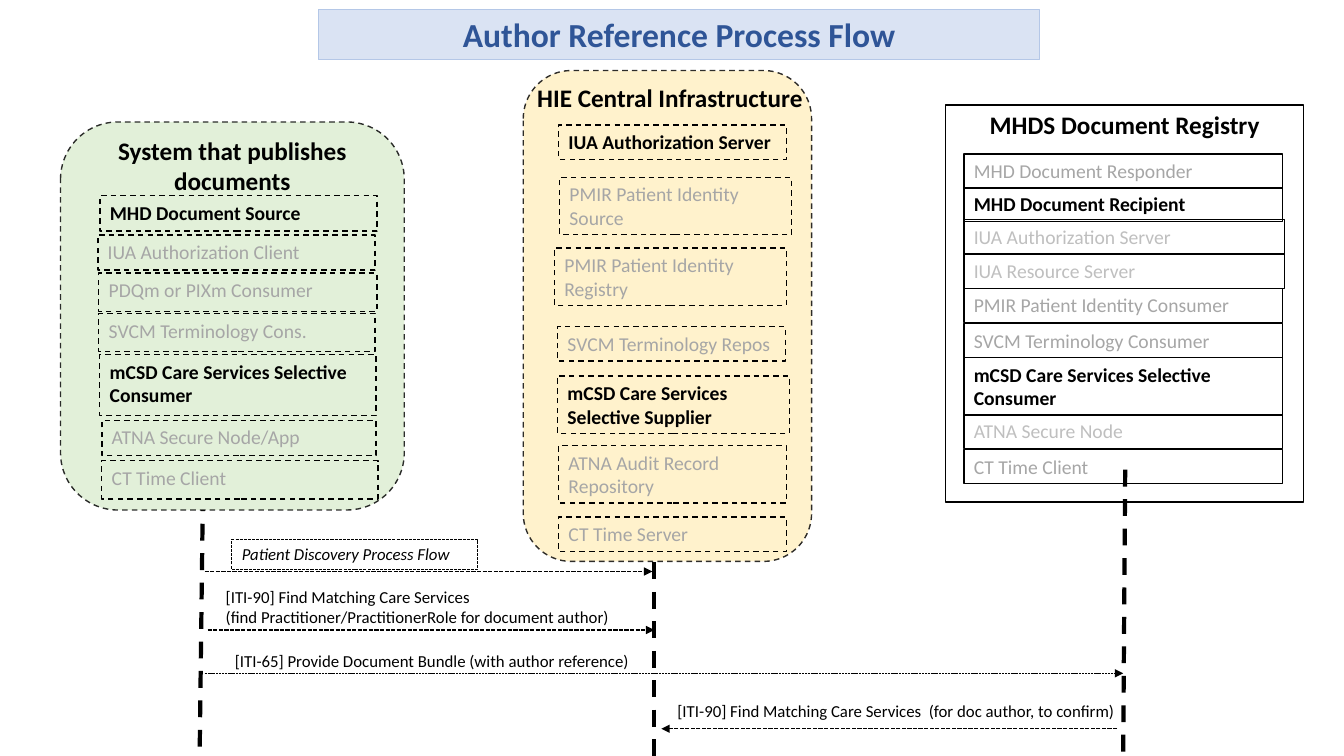
from lxml.etree import SubElement
from pptx import Presentation
from pptx.dml.color import RGBColor
from pptx.enum.dml import MSO_LINE
from pptx.enum.shapes import MSO_CONNECTOR, MSO_SHAPE
from pptx.enum.text import PP_ALIGN
from pptx.oxml.ns import qn
from pptx.util import Inches, Pt

BLACK, GRAY, PALE = "000000", "A6A6A6", "BFBFBF"
GREEN, YELLOW = "E2F0D9", "FFF2CC"
DASH, DOTS = MSO_LINE.DASH, MSO_LINE.SQUARE_DOT


def rgb(color):
    return RGBColor.from_string(color)


def box(x, y, w, h, text="", size=14, color=BLACK, bold=False, italic=False,
        center=False, wrap=True, fill=None, line=None, width=1, dash=None,
        rounded=False):
    """Add a rectangle with text; a rounded one is a panel with a translucent outline."""
    kind = MSO_SHAPE.ROUNDED_RECTANGLE if rounded else MSO_SHAPE.RECTANGLE
    sp = s.shapes.add_shape(kind, Inches(x), Inches(y), Inches(w), Inches(h))
    sp.shadow.inherit = False
    if fill:
        sp.fill.solid()
        sp.fill.fore_color.rgb = rgb(fill)
    else:
        sp.fill.background()
    if line:
        sp.line.color.rgb = rgb(line)
        sp.line.width = Pt(width)
        if dash:
            sp.line.dash_style = dash
    else:
        sp.line.fill.background()
    if rounded:
        sp.adjustments[0] = 0.167
        outline = sp.line._get_or_add_ln().find(".//" + qn("a:srgbClr"))
        SubElement(outline, qn("a:alpha"), val="81000")
    tf = sp.text_frame
    tf.word_wrap = wrap
    tf.vertical_anchor = 1
    for i, part in enumerate(text.split("\n") if text else []):
        p = tf.paragraphs[0] if i == 0 else tf.add_paragraph()
        p.alignment = PP_ALIGN.CENTER if center else PP_ALIGN.LEFT
        r = p.add_run()
        r.text = part
        r.font.name = "Calibri"
        r.font.size = Pt(size)
        r.font.bold = bold
        r.font.italic = italic
        r.font.color.rgb = rgb(color)


prs = Presentation()
prs.slide_width, prs.slide_height = Inches(13.33), Inches(7.5)
s = prs.slides.add_slide(prs.slide_layouts[6])

# Central infrastructure
box(5.19, 0.7, 2.86, 4.87, fill=YELLOW, line=BLACK, dash=DASH, rounded=True)
box(5.23, 0.77, 2.86, 0.4, "HIE Central Infrastructure", size=18, bold=True, wrap=False)
central_actors = [
    (5.54, 1.24, 2.26, 0.34, "IUA Authorization Server", True),
    (5.55, 1.76, 2.3, 0.57, "PMIR Patient Identity Source", False),
    (5.5, 2.46, 2.3, 0.57, "PMIR Patient Identity Registry", False),
    (5.53, 3.24, 2.26, 0.34, "SVCM Terminology Repos", False),
    (5.53, 3.73, 2.3, 0.57, "mCSD Care Services Selective Supplier", True),
    (5.54, 4.42, 2.26, 0.57, "ATNA Audit Record Repository", False),
    (5.54, 5.13, 2.26, 0.34, "CT Time Server", False),
]
for x, y, w, h, actor, active in central_actors:
    box(x, y, w, h, actor, color=BLACK if active else GRAY, bold=active,
        line=BLACK, dash=DASH)

# Lifelines and message arrows
lines = [
    (6.49, 5.58, 6.49, 7.5, 3, DASH),
    (11.16, 4.66, 11.14, 7.5, 3, DASH),
    (2.02, 4.32, 1.98, 7.5, 3, DASH),
    (2.03, 5.67, 6.47, 5.67, 1, DOTS),
    (2.06, 6.25, 6.49, 6.25, 1, DOTS),
    (2.03, 6.68, 11.14, 6.68, 0.5, DOTS),
    (11.08, 7.23, 6.56, 7.23, 1, DOTS),
]
for x1, y1, x2, y2, width, dash in lines:
    cn = s.shapes.add_connector(MSO_CONNECTOR.STRAIGHT, Inches(x1), Inches(y1),
                                Inches(x2), Inches(y2))
    cn.line.color.rgb = rgb(BLACK)
    cn.line.width = Pt(width)
    cn.line.dash_style = dash
    if dash == DOTS:
        SubElement(cn.line._get_or_add_ln(), qn("a:tailEnd"), type="triangle")
    SubElement(cn._element.spPr, qn("a:effectLst"))

# Title and message labels
box(3.16, 0.09, 7.15, 0.5, "Author Reference Process Flow", size=24, color="2F5597",
    bold=True, center=True, fill="DAE3F3", line="B4C7E7", width=0.75)
box(2.3, 5.35, 2.44, 0.3, "Patient Discovery Process Flow", size=12, italic=True,
    fill="FFFFFF", line=BLACK, width=0.75, dash=DOTS)
messages = [
    (2.14, 5.77, 4.38, 0.5, "[ITI-90] Find Matching Care Services\n"
     "(find Practitioner/PractitionerRole for document author)"),
    (2.23, 6.41, 4.38, 0.3, "[ITI-65] Provide Document Bundle (with author reference)"),
    (6.62, 6.9, 4.76, 0.3,
     "[ITI-90] Find Matching Care Services  (for doc author, to confirm)"),
]
for x, y, w, h, message in messages:
    box(x, y, w, h, message, size=12)

# Document registry
box(9.38, 1.04, 3.55, 3.94, "MHDS Document Registry", size=18, bold=True, center=True,
    line=BLACK)
registry_actors = [
    (1.53, 3.16, 0.34, "MHD Document Responder", GRAY),
    (1.86, 3.16, 0.34, "MHD Document Recipient", BLACK),
    (2.18, 3.18, 0.34, "IUA Authorization Server", PALE),
    (2.52, 3.18, 0.34, "IUA Resource Server", PALE),
    (2.86, 3.16, 0.34, "PMIR Patient Identity Consumer", GRAY),
    (3.21, 3.16, 0.34, "SVCM Terminology Consumer", GRAY),
    (3.55, 3.16, 0.57, "mCSD Care Services Selective Consumer", BLACK),
    (4.11, 3.16, 0.34, "ATNA Secure Node", PALE),
    (4.46, 3.16, 0.34, "CT Time Client", GRAY),
]
for y, w, h, actor, color in registry_actors:
    box(9.56, y, w, h, actor, color=color, bold=color == BLACK, line=BLACK)

# Publishing system
box(0.6, 1.21, 3.41, 3.85, fill=GREEN, line=BLACK, dash=DASH, rounded=True)
box(0.89, 1.29, 2.83, 0.71, "System that publishes documents", size=18, bold=True,
    center=True, fill=GREEN)
publisher_actors = [
    (0.99, 1.94, 2.75, 0.35, "MHD Document Source", True),
    (0.97, 2.33, 2.75, 0.35, "IUA Authorization Client", False),
    (0.98, 2.71, 2.76, 0.38, "PDQm or PIXm Consumer", False),
    (0.98, 3.11, 2.74, 0.38, "SVCM Terminology Cons.", False),
    (0.99, 3.52, 2.74, 0.6, "mCSD Care Services Selective Consumer", True),
    (1.01, 4.17, 2.72, 0.35, "ATNA Secure Node/App", False),
    (1.01, 4.57, 2.74, 0.38, "CT Time Client", False),
]
for x, y, w, h, actor, active in publisher_actors:
    box(x, y, w, h, actor, color=BLACK if active else GRAY, bold=active,
        fill=GREEN, line=BLACK, dash=DASH)

prs.save("out.pptx")
